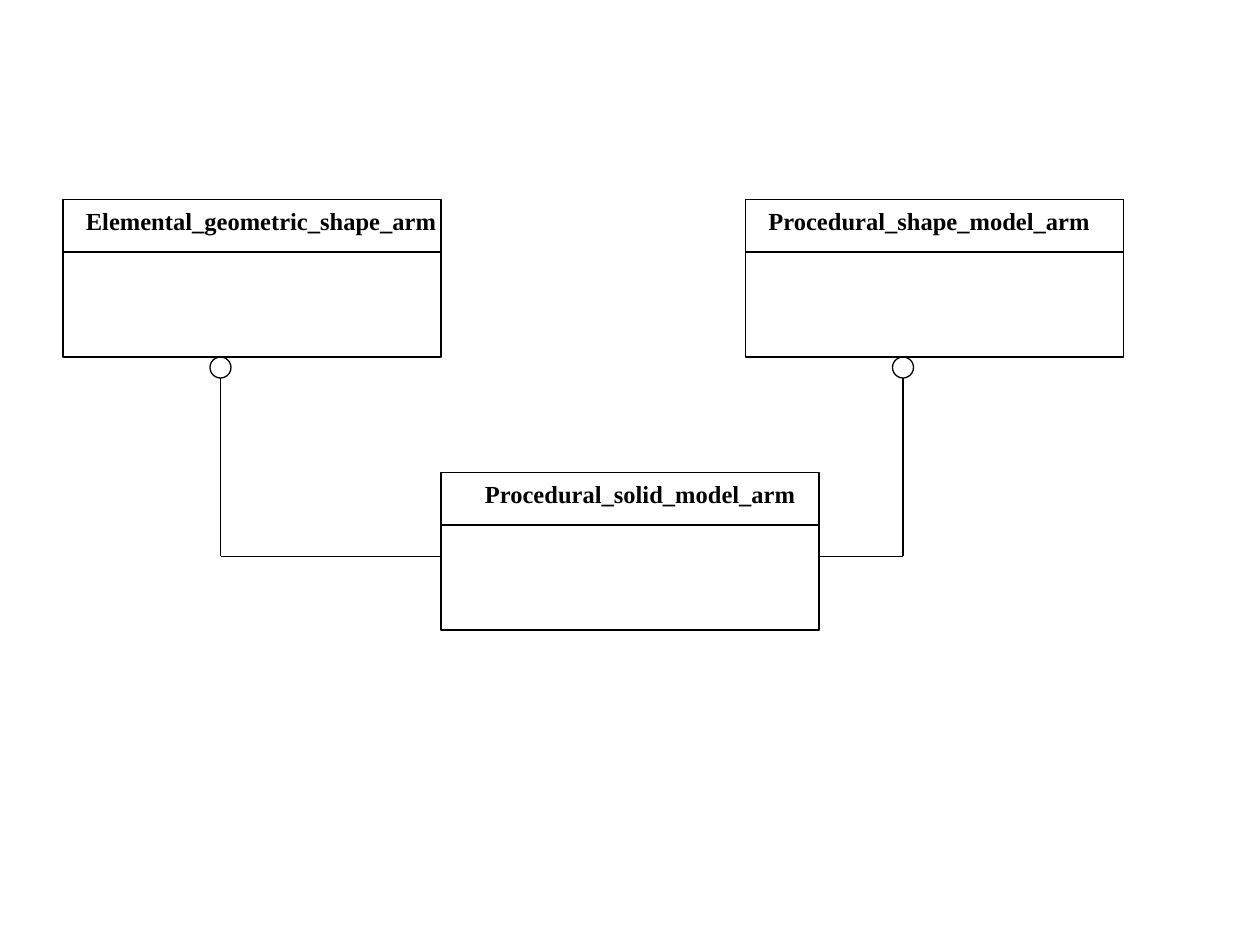
from dataclasses import dataclass

from lxml.etree import SubElement
from pptx import Presentation
from pptx.dml.color import RGBColor
from pptx.enum.shapes import MSO_CONNECTOR as Connector, MSO_SHAPE as Preset
from pptx.enum.text import MSO_AUTO_SIZE as AutoSize
from pptx.oxml.ns import qn
from pptx.util import Inches, Pt


@dataclass(frozen=True)
class Theme:
    ink: RGBColor = RGBColor(0, 0, 0)
    font: str = "Times New Roman"
    title_size: Pt = Pt(14)
    line_width: Pt = Pt(0.75)


theme = Theme()
presentation = Presentation()
presentation.slide_width = Inches(10)
presentation.slide_height = Inches(7.5)
slide = presentation.slides.add_slide(presentation.slide_layouts[6])

# The slide is a square grid of 120 columns and 90 rows.
cell = presentation.slide_width / 120
BOX_WIDTH, BOX_HEIGHT, HEADER = 36, 15, 5
CIRCLE, CIRCLE_OFFSET = 2, 14


def add_outline(preset, *bounds):
    """Add an unfilled shape; bounds are left, top, width and height in cells."""
    shape = slide.shapes.add_shape(preset, *(round(n * cell) for n in bounds))
    shape.shadow.inherit = False
    shape.fill.background()
    shape.line.color.rgb = theme.ink
    shape.line.width = theme.line_width


def add_line(*ends):
    """Add a straight line; ends are x1, y1, x2 and y2 in cells."""
    line = slide.shapes.add_connector(
        Connector.STRAIGHT, *(round(n * cell) for n in ends))
    line.line.color.rgb = theme.ink
    line.line.width = theme.line_width
    SubElement(line._element.spPr, qn("a:effectLst"))


# Name, box left, box top, title indent, title width
solid_left, solid_top = 42, 45
modules = [
    ("Procedural_solid_model_arm", solid_left, solid_top, 3, 32),
    ("Elemental_geometric_shape_arm", 6, 19, 1, 36),
    ("Procedural_shape_model_arm", 71, 19, 1, 33),
]
for name, left, top, indent, title_width in modules:
    add_outline(Preset.RECTANGLE, left, top, BOX_WIDTH, BOX_HEIGHT)
    add_line(left, top + HEADER, left + BOX_WIDTH, top + HEADER)
    title = slide.shapes.add_textbox(
        *(round(n * cell) for n in (left + indent, top, title_width, 4)))
    title.text_frame.word_wrap = False
    title.text_frame.auto_size = AutoSize.SHAPE_TO_FIT_TEXT
    run = title.text_frame.paragraphs[0].add_run()
    run.text = name
    run.font.name = theme.font
    run.font.size = theme.title_size
    run.font.bold = True
    run.font.color.rgb = theme.ink

# Each upper module joins the nearest side of the solid model module.
join_row = solid_top + 8
sides = (solid_left, solid_left + BOX_WIDTH)
for (_, left, top, *_), side in zip(modules[1:], sides):
    bottom = top + BOX_HEIGHT
    center = left + CIRCLE_OFFSET + CIRCLE / 2
    add_outline(Preset.OVAL, left + CIRCLE_OFFSET, bottom, CIRCLE, CIRCLE)
    add_line(center, bottom + CIRCLE, center, join_row)
    add_line(center, join_row, side, join_row)

presentation.save("out.pptx")
